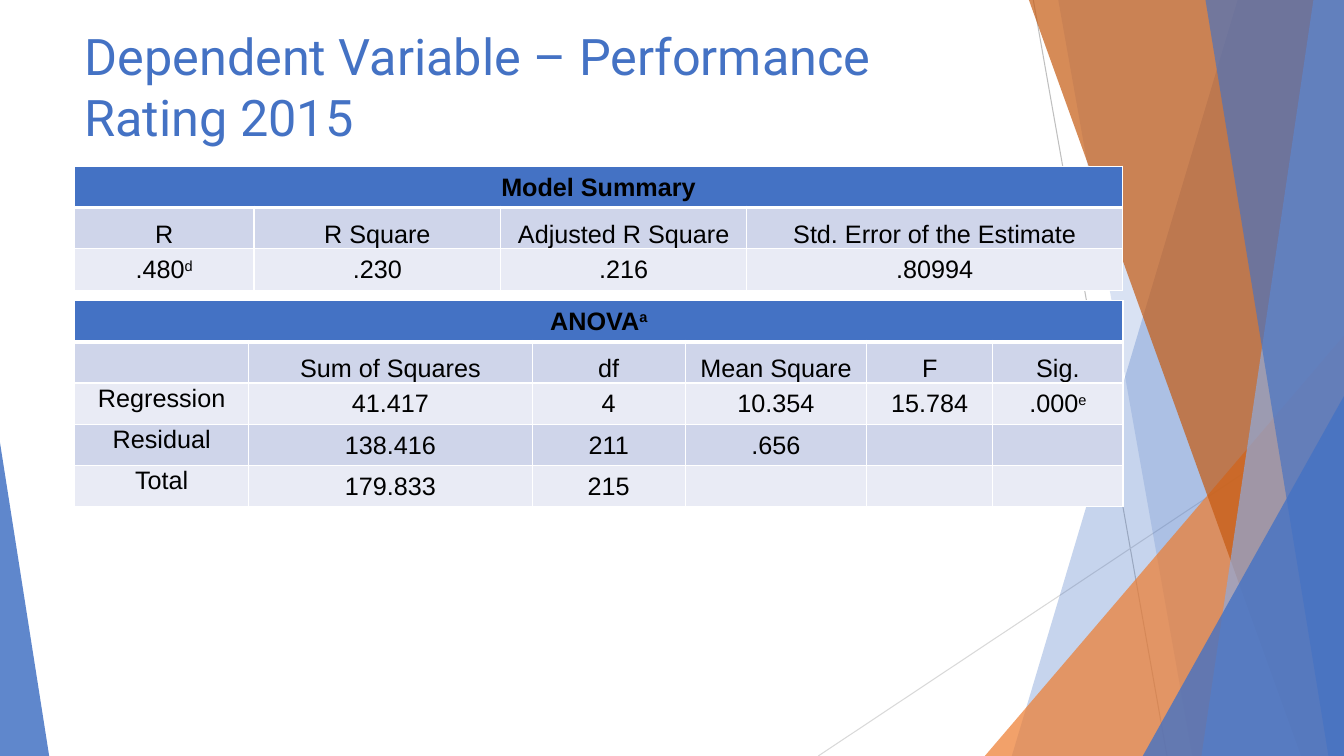
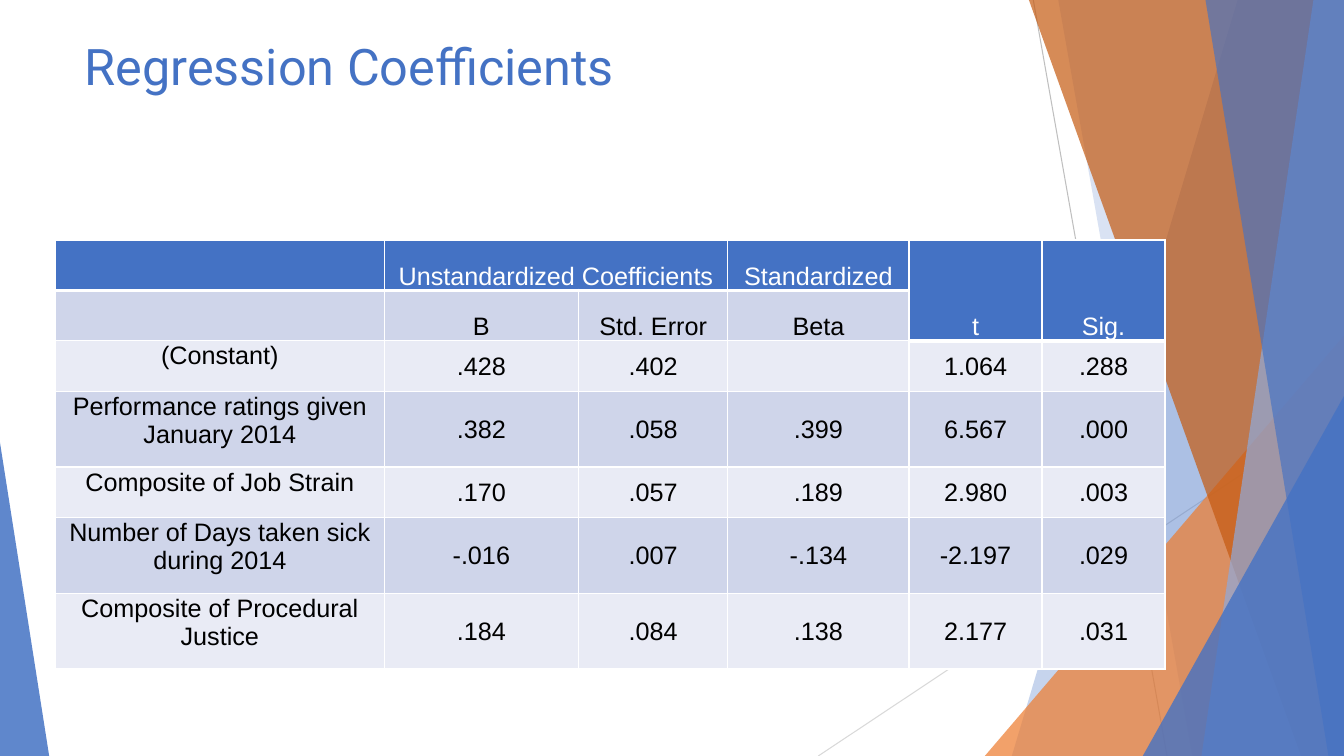
from lxml import etree
from pptx import Presentation
from pptx.dml.color import RGBColor
from pptx.enum.shapes import MSO_CONNECTOR, MSO_SHAPE
from pptx.enum.text import MSO_ANCHOR, PP_ALIGN
from pptx.oxml.ns import qn
from pptx.util import Cm, Pt

LINE = MSO_CONNECTOR.STRAIGHT
TRIANGLE = MSO_SHAPE.ISOSCELES_TRIANGLE
TOP, MIDDLE, BOTTOM = MSO_ANCHOR.TOP, MSO_ANCHOR.MIDDLE, MSO_ANCHOR.BOTTOM
CENTER = PP_ALIGN.CENTER


class Theme:
    blue, pale_blue = "4472C4", "8FAADC"
    orange, rust = "ED7D31", "C55A11"
    black, white = "000000", "FFFFFF"
    odd_row, even_row = "CFD5EA", "E9EBF5"
    grey, light_grey = "BFBFBF", "D9D9D9"
    title_font, title_size = "Roboto", Pt(36)
    table_font, table_size = "Arial", Pt(18)
    rule, header_rule, hairline = Pt(1), Pt(3), Pt(0.75)


# Content, lengths in cm; "^" starts a superscript, None is covered by a merge
WIDTH, HEIGHT = 33.87, 19.05

SLIDES = [
    {
        "title": "Dependent Variable – Performance Rating 2015",
        "title_box": (1.88, 0.51, 23.88, 3.66),
        "tables": [
            {
                "at": (1.88, 4.19),
                "columns": [4.52, 6.22, 6.2, 9.47],
                "heights": [1.04] * 3,
                "header": (Theme.black, True, MIDDLE),
                "merges": [(0, 0, 0, 3)],
                "rows": [
                    ["Model Summary", None, None, None],
                    ["R", "R Square", "Adjusted R Square", "Std. Error of the Estimate"],
                    [".480^d", ".230", ".216", ".80994"],
                ],
                "row_labels": False,
            },
            {
                "at": (1.88, 7.57),
                "columns": [4.39, 7.14, 3.86, 4.57, 3.18, 3.28],
                "heights": [1.04] * 5,
                "header": (Theme.black, True, MIDDLE),
                "merges": [(0, 0, 0, 5)],
                "rows": [
                    ["ANOVA^a", None, None, None, None, None],
                    ["", "Sum of Squares", "df", "Mean Square", "F", "Sig."],
                    ["Regression", "41.417", "4", "10.354", "15.784", ".000^e"],
                    ["Residual", "138.416", "211", ".656", "", ""],
                    ["Total", "179.833", "215", "", "", ""],
                ],
                "row_labels": True,
            },
        ],
    },
    {
        "title": "Regression Coefficients",
        "title_box": (1.88, 0.76, 23.88, 2.79),
        "tables": [
            {
                "at": (1.4, 6.05),
                "columns": [8.28, 4.9, 3.76, 4.57, 3.35, 3.1],
                "heights": [1.27, 1.27, 1.27, 1.91, 1.27, 1.91, 1.91],
                "header": (Theme.white, False, BOTTOM),
                "merges": [(0, 1, 0, 2), (0, 4, 1, 4), (0, 5, 1, 5)],
                "rows": [
                    ["", "Unstandardized Coefficients", None, "Standardized", "t", "Sig."],
                    ["", "B", "Std. Error", "Beta", None, None],
                    ["(Constant)", ".428", ".402", "", "1.064", ".288"],
                    ["Performance ratings given January 2014",
                     ".382", ".058", ".399", "6.567", ".000"],
                    ["Composite of Job Strain", ".170", ".057", ".189", "2.980", ".003"],
                    ["Number of Days taken sick during 2014",
                     "-.016", ".007", "-.134", "-2.197", ".029"],
                    ["Composite of Procedural Justice",
                     ".184", ".084", ".138", "2.177", ".031"],
                ],
                "row_labels": True,
            },
        ],
    },
]

# Backdrop: thin lines, then facets from back to front
BACKDROP_LINES = [
    (26.04, 0, 29.41, HEIGHT, Theme.grey),
    (WIDTH, 10.24, 20.62, HEIGHT, Theme.light_grey),
]
# band: top x, bottom x of its left edge; triangle: left, top, right, apex
FACETS = [
    ("band", (31.19, 25.5), Theme.blue, 30),
    ("band", (26.67, 30.05), Theme.blue, 20),
    ("triangle", (24.82, 8.46, WIDTH, 1), Theme.orange, 72),
    ("band", (25.93, 32.79), Theme.rust, 70),
    ("band", (33.1, 30.28), Theme.pale_blue, 70),
    ("band", (30.38, 33.48), Theme.blue, 65),
    ("triangle", (28.8, 9.98, WIDTH, 1), Theme.blue, 80),
    ("triangle", (0, 11.15, 1.24, 0), Theme.blue, 85),
]


def rgb(color):
    return RGBColor.from_string(color)


def set_font(font, name, size, color, bold=False):
    font.name, font.size, font.bold = name, size, bold
    font.color.rgb = rgb(color)


def add_band(slide, top_x, bottom_x):
    """Add a facet running from a slanted left edge to the right slide edge."""
    builder = slide.shapes.build_freeform(Cm(top_x), 0)
    corners = [(WIDTH, 0), (WIDTH, HEIGHT), (bottom_x, HEIGHT)]
    builder.add_line_segments([(Cm(x), Cm(y)) for x, y in corners])
    return builder.convert_to_shape()


def add_triangle(slide, left, top, right, apex):
    """Add a triangle standing on the bottom slide edge."""
    sp = slide.shapes.add_shape(
        TRIANGLE, Cm(left), Cm(top), Cm(right - left), Cm(HEIGHT - top))
    sp.adjustments[0] = apex
    return sp


def add_backdrop(slide):
    for x1, y1, x2, y2, color in BACKDROP_LINES:
        line = slide.shapes.add_connector(LINE, Cm(x1), Cm(y1), Cm(x2), Cm(y2))
        line.line.color.rgb = rgb(color)
        line.line.width = Theme.hairline
        etree.SubElement(line._element.spPr, qn("a:effectLst"))
    builders = {"band": add_band, "triangle": add_triangle}
    for kind, geometry, color, opacity in FACETS:
        sp = builders[kind](slide, *geometry)
        sp.shadow.inherit = False
        sp.line.fill.background()
        sp.fill.solid()
        sp.fill.fore_color.rgb = rgb(color)
        clr = sp._element.spPr.find(qn("a:solidFill"))[0]
        etree.SubElement(clr, qn("a:alpha"), val=str(opacity * 1000))


def add_title(slide, text, box):
    tf = slide.shapes.add_textbox(*map(Cm, box)).text_frame
    tf.word_wrap = True
    p = tf.paragraphs[0]
    p.text = text
    set_font(p.font, Theme.title_font, Theme.title_size, Theme.blue)


def set_borders(cell, top, bottom):
    """Give a cell white borders; must run before the cell is filled."""
    widths = {"lnL": Theme.rule, "lnR": Theme.rule, "lnT": top, "lnB": bottom}
    tc_pr = cell._tc.get_or_add_tcPr()
    for side, width in widths.items():
        ln = etree.SubElement(tc_pr, qn("a:" + side), w=str(width))
        fill = etree.SubElement(ln, qn("a:solidFill"))
        etree.SubElement(fill, qn("a:srgbClr"), val=Theme.white)


def write_cell(cell, text, color, bold):
    p = cell.text_frame.paragraphs[0]
    p.alignment = CENTER
    set_font(p.font, Theme.table_font, Theme.table_size, color, bold)
    base, _, superscript = text.partition("^")
    p.add_run().text = base
    if superscript:
        r = p.add_run()
        r.text = superscript
        r.font._element.set("baseline", "30000")


def add_stats_table(slide, spec):
    rows, columns, heights = spec["rows"], spec["columns"], spec["heights"]
    left, top = spec["at"]
    table = slide.shapes.add_table(
        len(rows), len(columns), Cm(left), Cm(top),
        Cm(sum(columns)), Cm(sum(heights))).table
    table.first_row = table.horz_banding = False
    for column, width in zip(table.columns, columns):
        column.width = Cm(width)
    for row, height in zip(table.rows, heights):
        row.height = Cm(height)

    def is_header(r, c):
        return r == 0 or rows[r][c] is None

    def rule_below(r, c):
        return Theme.header_rule if r >= 0 and is_header(r, c) else Theme.rule

    header_color, header_bold, header_anchor = spec["header"]
    for r, row in enumerate(rows):
        for c, text in enumerate(row):
            cell = table.cell(r, c)
            header = is_header(r, c)
            set_borders(cell, rule_below(r - 1, c), rule_below(r, c))
            band = Theme.odd_row if r % 2 else Theme.even_row
            cell.fill.solid()
            cell.fill.fore_color.rgb = rgb(Theme.blue if header else band)
            cell.margin_left = cell.margin_right = cell.margin_top = Cm(0.03)
            cell.margin_bottom = 0
            if header:
                cell.vertical_anchor = header_anchor
            elif r == 1:
                cell.vertical_anchor = BOTTOM
            else:
                label = spec["row_labels"] and c == 0
                cell.vertical_anchor = TOP if label else MIDDLE
            if text:
                write_cell(cell, text, header_color if header else Theme.black,
                           header and header_bold)
    for r1, c1, r2, c2 in spec["merges"]:
        table.cell(r1, c1).merge(table.cell(r2, c2))


def main():
    prs = Presentation()
    prs.slide_width, prs.slide_height = Cm(WIDTH), Cm(HEIGHT)
    blank = prs.slide_layouts[6]
    for content in SLIDES:
        slide = prs.slides.add_slide(blank)
        add_backdrop(slide)
        add_title(slide, content["title"], content["title_box"])
        for spec in content["tables"]:
            add_stats_table(slide, spec)
    prs.save("out.pptx")


if __name__ == "__main__":
    main()
